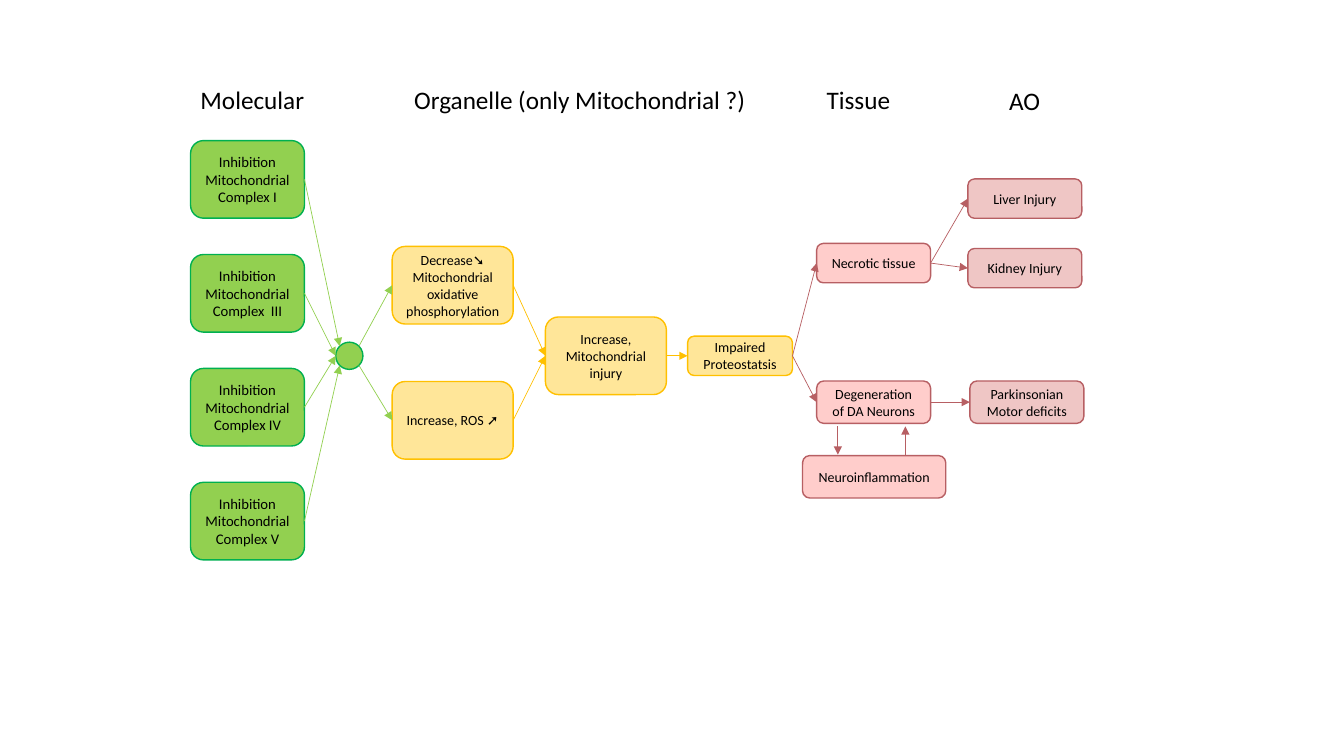
from math import sqrt
from lxml import etree
from pptx import Presentation
from pptx.dml.color import RGBColor
from pptx.enum.shapes import MSO_CONNECTOR, MSO_SHAPE
from pptx.enum.text import MSO_ANCHOR, MSO_AUTO_SIZE, PP_ALIGN
from pptx.oxml.ns import qn
from pptx.util import Inches, Pt

STRAIGHT = MSO_CONNECTOR.STRAIGHT
ROUNDED, OVAL = MSO_SHAPE.ROUNDED_RECTANGLE, MSO_SHAPE.OVAL
MIDDLE, CENTER, NO_FIT = MSO_ANCHOR.MIDDLE, PP_ALIGN.CENTER, MSO_AUTO_SIZE.NONE
LEFT, RIGHT = 1, 3
FONT = "Calibri"

# Heading: text, left, top, width
HEADINGS = [
    ("Molecular", 1.89, 0.79, 1.24),
    ("Organelle (only Mitochondrial ?)", 4.01, 0.79, 3.53),
    ("Tissue", 8.1, 0.79, 0.84),
    ("AO", 9.91, 0.8, 0.51),
]
# Style: fill, line, text size
STYLES = {
    "molecular": ("92D050", "00B050", 10.5),
    "organelle": ("FFE699", "FFC000", 10),
    "tissue": ("FFCDCB", "B75F63", 10),
    "outcome": ("EFC6C5", "B75F63", 10),
}
# Column: left, width
COLUMNS = {
    "complexes": (1.89, 1.13), "hub": (3.33, 0.27), "effects": (3.89, 1.2),
    "injury": (5.41, 1.2), "proteostasis": (6.82, 1.04), "tissue": (8.1, 1.13),
    "inflammation": (7.96, 1.42), "organs": (9.6, 1.13), "motor": (9.62, 1.13),
}
TALL, LOW, MEDIUM = 0.77, 0.39, 0.42
MAIN_ROW, NEURON_ROW = 3.53, 3.99
FIRST_COMPLEX, COMPLEX_PITCH = 1.78, 1.13
COMPLEXES = ["Complex I", "Complex  III", "Complex IV", "Complex V"]

# Box: name, text, style, column, middle, height
BOXES = [
    (name, "Inhibition Mitochondrial " + name, "molecular", "complexes",
     FIRST_COMPLEX + i * COMPLEX_PITCH, TALL)
    for i, name in enumerate(COMPLEXES)
] + [
    ("phosphorylation", "Decrease➘ Mitochondrial oxidative phosphorylation",
     "organelle", "effects", 2.83, TALL),
    ("ROS", "Increase, ROS ➚", "organelle", "effects", 4.17, TALL),
    ("injury", "Increase, Mitochondrial injury", "organelle", "injury", MAIN_ROW, TALL),
    ("proteostasis", "Impaired Proteostatsis", "organelle", "proteostasis", MAIN_ROW, LOW),
    ("motor", "Parkinsonian Motor deficits", "outcome", "motor", NEURON_ROW, MEDIUM),
    ("liver", "Liver Injury", "outcome", "organs", 1.97, LOW),
    ("kidney", "Kidney Injury", "outcome", "organs", 2.66, LOW),
    ("neurons", "Degeneration of DA Neurons", "tissue", "tissue", NEURON_ROW, MEDIUM),
    ("inflammation", "Neuroinflammation", "tissue", "inflammation", 4.73, MEDIUM),
    ("necrosis", "Necrotic tissue", "tissue", "tissue", 2.61, LOW),
]
GREEN, AMBER, RED = "92D050", "FFC000", "B75F63"
LINKS = [
    ("phosphorylation", "injury", AMBER), ("ROS", "injury", AMBER),
    ("injury", "proteostasis", AMBER),
    ("proteostasis", "neurons", RED), ("proteostasis", "necrosis", RED),
    ("necrosis", "kidney", RED), ("necrosis", "liver", RED),
    ("neurons", "motor", RED),
]
LOOP_TOP, LOOP_BOTTOM, LOOP_DOWN, LOOP_UP = 4.23, 4.51, 8.31, 8.98


def rgb(color):
    return RGBColor.from_string(color)


def style_text(tf, size):
    for r in tf.paragraphs[0].runs:
        r.font.name, r.font.size = FONT, Pt(size)
        r.font.color.rgb = rgb("000000")


def add_node(slide, kind, style, column, middle, height, text=""):
    fill, line, size = STYLES[style]
    left, width = COLUMNS[column]
    s = slide.shapes.add_shape(kind, Inches(left), Inches(middle - height / 2),
                               Inches(width), Inches(height))
    s.shadow.inherit = False
    s.fill.solid()
    s.fill.fore_color.rgb = rgb(fill)
    s.line.color.rgb, s.line.width = rgb(line), Pt(1)
    if text:
        tf = s.text_frame
        tf.text, tf.word_wrap, tf.vertical_anchor = text, True, MIDDLE
        tf.paragraphs[0].alignment = CENTER
        style_text(tf, size)
    return s


def add_arrow(slide, color, start, end):
    """Each end is an (x, y) point in inches or a box, joined right to left."""
    c = slide.shapes.add_connector(STRAIGHT, 0, 0, 0, 0)
    if isinstance(start, tuple):
        c.begin_x, c.begin_y = map(Inches, start)
    else:
        c.begin_connect(start, RIGHT)
    if isinstance(end, tuple):
        c.end_x, c.end_y = map(Inches, end)
    else:
        c.end_connect(end, LEFT)
    c.line.color.rgb, c.line.width = rgb(color), Pt(0.5)
    etree.SubElement(c.line._get_or_add_ln(), qn("a:tailEnd"), type="triangle")
    etree.SubElement(c._element.spPr, qn("a:effectLst"))


def main():
    prs = Presentation()
    prs.slide_width, prs.slide_height = Inches(13.33), Inches(7.5)
    slide = prs.slides.add_slide(prs.slide_layouts[6])

    boxes = {name: add_node(slide, ROUNDED, style, column, middle, height, text)
             for name, text, style, column, middle, height in BOXES}

    hub_left, hub_size = COLUMNS["hub"]
    add_node(slide, OVAL, "molecular", "hub", MAIN_ROW, hub_size)
    hub_x = hub_left + hub_size / 2
    diagonal = hub_size / 2 / sqrt(2)
    hub_west = (hub_left, MAIN_ROW)
    upper, lower = MAIN_ROW - diagonal, MAIN_ROW + diagonal
    hub_entries = [(hub_x - diagonal, upper), hub_west, hub_west,
                   (hub_x - diagonal, lower)]
    for name, entry in zip(COMPLEXES, hub_entries):
        add_arrow(slide, GREEN, boxes[name], entry)
    for name, y in (("phosphorylation", upper), ("ROS", lower)):
        add_arrow(slide, GREEN, (hub_x + diagonal, y), boxes[name])

    for start, end, color in LINKS:
        add_arrow(slide, color, boxes[start], boxes[end])
    add_arrow(slide, RED, (LOOP_DOWN, LOOP_TOP), (LOOP_DOWN, LOOP_BOTTOM))
    add_arrow(slide, RED, (LOOP_UP, LOOP_BOTTOM), (LOOP_UP, LOOP_TOP))

    for text, left, top, width in HEADINGS:
        tf = slide.shapes.add_textbox(Inches(left), Inches(top), Inches(width),
                                      Inches(0.4)).text_frame
        tf.text, tf.word_wrap, tf.auto_size = text, False, NO_FIT
        style_text(tf, 18)

    prs.save("out.pptx")


if __name__ == "__main__":
    main()
